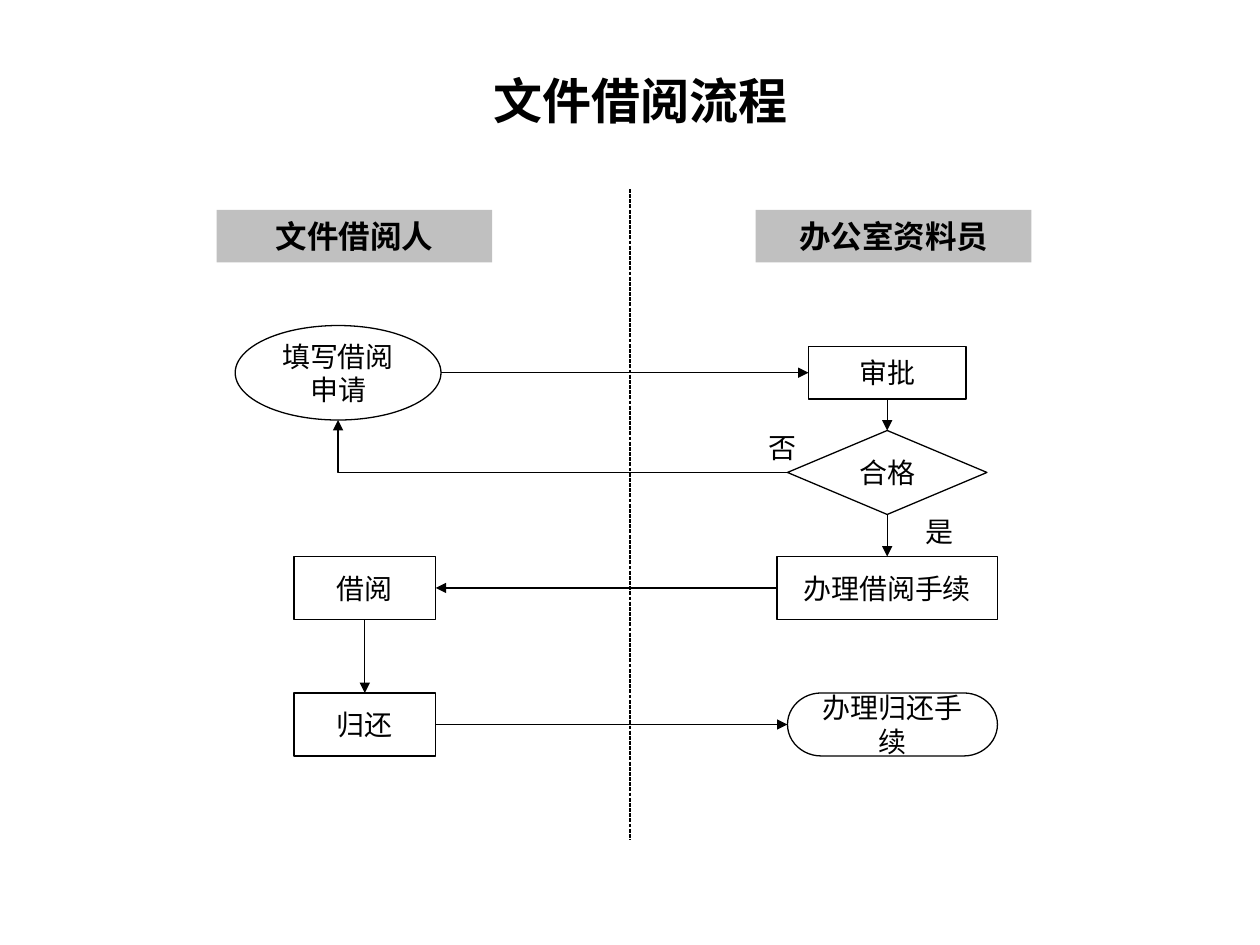
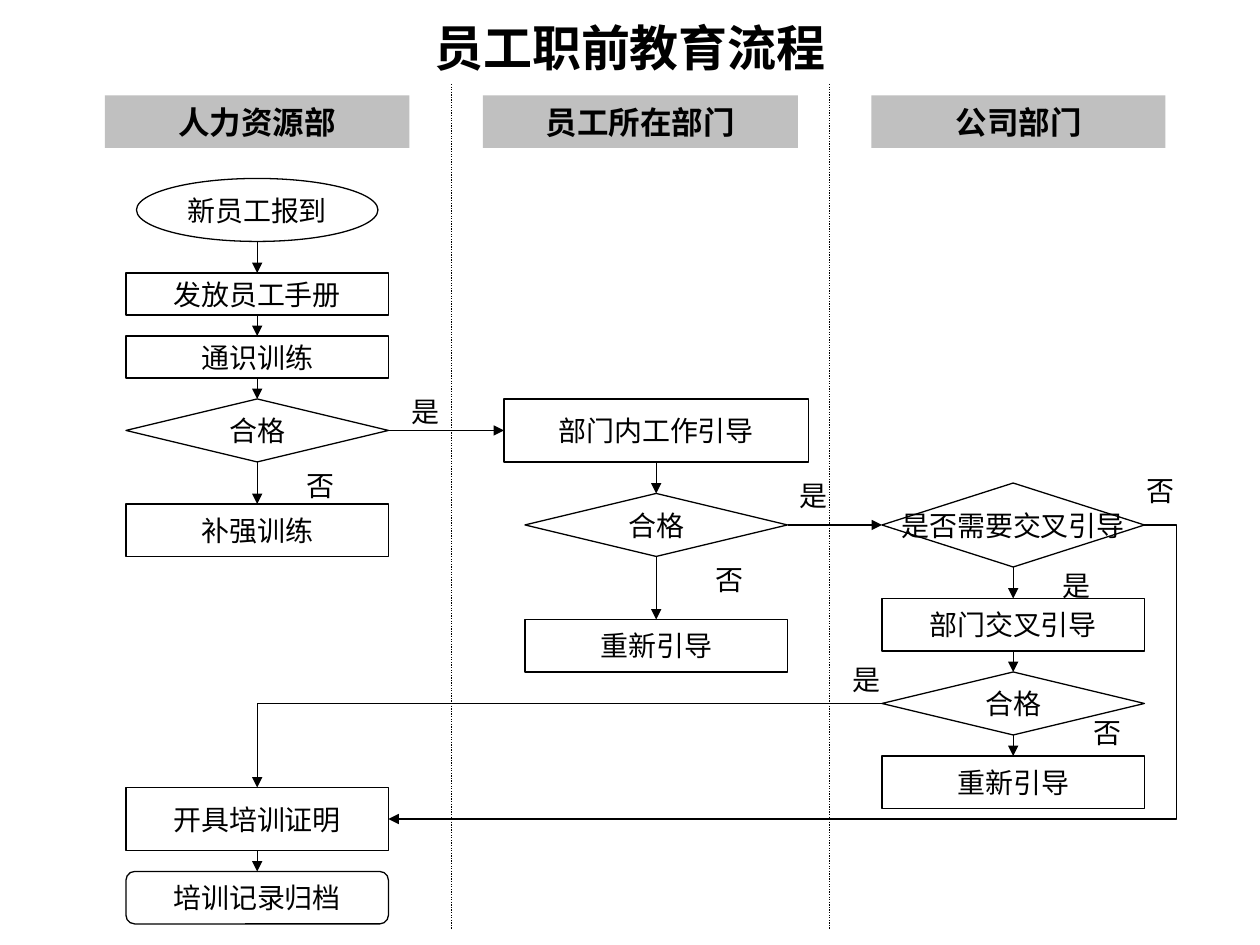
import dataclasses

import pptx
import pptx.dml.color
import pptx.enum.dml
import pptx.enum.shapes
import pptx.enum.text
import pptx.oxml
import pptx.oxml.ns
import pptx.util

Kind = pptx.enum.shapes.MSO_SHAPE
Wire = pptx.enum.shapes.MSO_CONNECTOR
Align = pptx.enum.text.PP_ALIGN
Dash = pptx.enum.dml.MSO_LINE
TOP, LEFT, DOWN, RIGHT = range(4)


@dataclasses.dataclass(frozen=True)
class Theme:
    font: str = "Times New Roman"
    ink: str = "000000"
    band: str = "C0C0C0"
    title: int = 28
    head: int = 18
    body: int = 16
    rule: float = 0.75


THEME = Theme()


# Grid: 12 cells to the inch, so a slide is 120 columns by 90 rows
def cell(count):
    return pptx.util.Inches(count / 12)


def color(code):
    return pptx.dml.color.RGBColor.from_string(code)


# Text
def write(shape, text, size=THEME.body, bold=False, align=Align.CENTER, wrap=True):
    frame = shape.text_frame
    frame.auto_size = pptx.enum.text.MSO_AUTO_SIZE.NONE
    frame.word_wrap = wrap
    frame.vertical_anchor = pptx.enum.text.MSO_ANCHOR.MIDDLE
    frame.text = text
    para = frame.paragraphs[0]
    para.alignment = align
    font = para.font
    font.name, font.bold = THEME.font, bold
    font.size = pptx.util.Pt(size)
    font.color.rgb = color(THEME.ink)


def title(slide, text, x, y, wide, high):
    shape = slide.shapes.title
    shape.left, shape.top = cell(x), cell(y)
    shape.width, shape.height = cell(wide), cell(high)
    write(shape, text, size=THEME.title, bold=True)


def label(slide, text, x, y, wide=8, high=4.4, align=Align.LEFT):
    shape = slide.shapes.add_textbox(cell(x), cell(y), cell(wide), cell(high))
    write(shape, text, align=align)


# Boxes are placed by the middle of their column
def block(slide, kind, mid, y, wide, high):
    shape = slide.shapes.add_shape(
        kind, cell(mid - wide / 2), cell(y), cell(wide), cell(high))
    shape.shadow.inherit = False
    return shape


def head(slide, text, mid, y, wide):
    shape = block(slide, Kind.RECTANGLE, mid, y, wide, 5)
    shape.fill.solid()
    shape.fill.fore_color.rgb = color(THEME.band)
    shape.line.fill.background()
    write(shape, text, size=THEME.head, bold=True, wrap=False)


def step(slide, text, mid, y, high, wide=25, kind=Kind.RECTANGLE, wrap=False):
    shape = block(slide, kind, mid, y, wide, high)
    shape.fill.background()
    shape.line.color.rgb = color(THEME.ink)
    shape.line.width = pptx.util.Pt(THEME.rule)
    write(shape, text, wrap=wrap)
    return shape


# Lines
def wire(slide, start, stop, kind=Wire.STRAIGHT, dash=None, arrow=True):
    line = slide.shapes.add_connector(kind, *start, *stop)
    line.line.color.rgb = color(THEME.ink)
    line.line.width = pptx.util.Pt(THEME.rule)
    if dash:
        line.line.dash_style = dash
    if arrow:
        tip = pptx.oxml.parse_xml(
            f'<a:tailEnd {pptx.oxml.ns.nsdecls("a")} type="triangle"/>')
        line.line._get_or_add_ln().append(tip)
    props = line._element.spPr
    props.append(props.makeelement(pptx.oxml.ns.qn("a:effectLst"), {}))
    return line


def split(slide, x, top, end, dash):
    wire(slide, (cell(x), cell(top)), (cell(x), cell(end)), dash=dash, arrow=False)


def port(shape, side):
    across = {TOP: 0.5, LEFT: 0, DOWN: 0.5, RIGHT: 1}[side]
    along = {TOP: 0, LEFT: 0.5, DOWN: 1, RIGHT: 0.5}[side]
    return (int(shape.left + shape.width * across),
            int(shape.top + shape.height * along))


def link(slide, a, b, out=DOWN, into=TOP):
    line = wire(slide, port(a, out), port(b, into))
    # An oval numbers its joints differently, so its end stays free
    if a.auto_shape_type != Kind.OVAL:
        line.begin_connect(a, out)
    if b.auto_shape_type != Kind.OVAL:
        line.end_connect(b, into)


def chain(slide, *steps):
    for a, b in zip(steps, steps[1:]):
        link(slide, a, b)


def bend(slide, start, stop, shift=None):
    """One corner, or two corners when shift (share of the width) is given."""
    line = wire(slide, start, stop, kind=Wire.ELBOW)
    form = line._element.spPr.find(pptx.oxml.ns.qn("a:prstGeom"))
    if shift is None:
        form.set("prst", "bentConnector2")
        return
    name = pptx.oxml.ns.qn("a:avLst")
    list_ = form.find(name)
    if list_ is None:
        list_ = form.makeelement(name, {})
        form.append(list_)
    list_.append(form.makeelement(pptx.oxml.ns.qn("a:gd"), {
        "name": "adj1", "fmla": f"val {round(shift * 100000)}"}))


# Slide 1: borrowing files
def borrow(slide):
    title(slide, "文件借阅流程", 10, 5, 102, 9)
    head(slide, "文件借阅人", 33.75, 20, 26.25)
    head(slide, "办公室资料员", 85.1, 20, 26.25)
    split(slide, 60, 18, 80, Dash.SQUARE_DOT)

    left, right = 34.75, 84.5
    apply = step(slide, "填写借阅申请", 32.2, 31, 9, 19.6, Kind.OVAL, wrap=True)
    review = step(slide, "审批", right, 33, 5, 15)
    check = step(slide, "合格", right, 41, 8, 19, Kind.FLOWCHART_DECISION)
    issue = step(slide, "办理借阅手续", right, 53, 6, 21)
    take = step(slide, "借阅", left, 53, 6, 13.5)
    give = step(slide, "归还", left, 66, 6, 13.5)
    close = step(slide, "办理归还手续", 85, 66, 6, 20,
                 Kind.FLOWCHART_TERMINATOR, wrap=True)

    chain(slide, review, check, issue)
    chain(slide, take, give)
    link(slide, apply, review, RIGHT, LEFT)
    link(slide, issue, take, LEFT, RIGHT)
    link(slide, give, close, RIGHT, LEFT)
    bend(slide, port(check, LEFT), port(apply, DOWN))
    label(slide, "否", 71, 40, 7, 5.2, Align.CENTER)
    label(slide, "是", 86, 48, 7, 5.2, Align.CENTER)


# Slide 2: training new staff
def train(slide):
    title(slide, "员工职前教育流程", 9, 3, 102, 3)
    for text, mid, wide in (("人力资源部", 24.5, 29), ("员工所在部门", 61, 30),
                            ("公司部门", 97, 28)):
        head(slide, text, mid, 9.1, wide)
    for x in (43, 79):
        split(slide, x, 8, 88.5, Dash.ROUND_DOT)

    staff, team, firm = 24.5, 62.5, 96.5
    gate = Kind.FLOWCHART_DECISION
    # Staff office
    enter = step(slide, "新员工报到", staff, 17, 6, 23, Kind.OVAL)
    guide = step(slide, "发放员工手册", staff, 26, 4)
    drill = step(slide, "通识训练", staff, 32, 4)
    test = step(slide, "合格", staff, 38, 6, kind=gate)
    extra = step(slide, "补强训练", staff, 48, 5)
    proof = step(slide, "开具培训证明", staff, 75, 6)
    file = step(slide, "培训记录归档", staff, 83, 5, kind=Kind.ROUNDED_RECTANGLE)
    # Own team
    coach = step(slide, "部门内工作引导", team, 38, 6, 29)
    check = step(slide, "合格", team, 47, 6, kind=gate)
    again = step(slide, "重新引导", team, 59, 5)
    # Other teams
    need = step(slide, "是否需要交叉引导", firm, 46, 8, kind=gate)
    cross = step(slide, "部门交叉引导", firm, 57, 5)
    final = step(slide, "合格", firm, 64, 6, kind=gate)
    redo = step(slide, "重新引导", firm, 72, 5)

    chain(slide, enter, guide, drill, test, extra)
    chain(slide, proof, file)
    chain(slide, coach, check, again)
    chain(slide, need, cross, final, redo)
    link(slide, test, coach, RIGHT, LEFT)
    link(slide, check, need, RIGHT, LEFT)
    bend(slide, port(final, LEFT), port(proof, TOP))
    bend(slide, port(need, RIGHT), port(proof, RIGHT), shift=-0.042)

    for text, x, y in (("是", 38, 37), ("否", 28, 44), ("是", 75, 45),
                       ("否", 67, 53), ("否", 108, 44.5), ("是", 100, 53.5),
                       ("是", 80, 62.5), ("否", 103, 67.5)):
        label(slide, text, x, y)


def main():
    deck = pptx.Presentation()
    deck.slide_width, deck.slide_height = cell(120), cell(90)
    for draw in (borrow, train):
        draw(deck.slides.add_slide(deck.slide_layouts[5]))
    deck.save("out.pptx")


if __name__ == "__main__":
    main()
